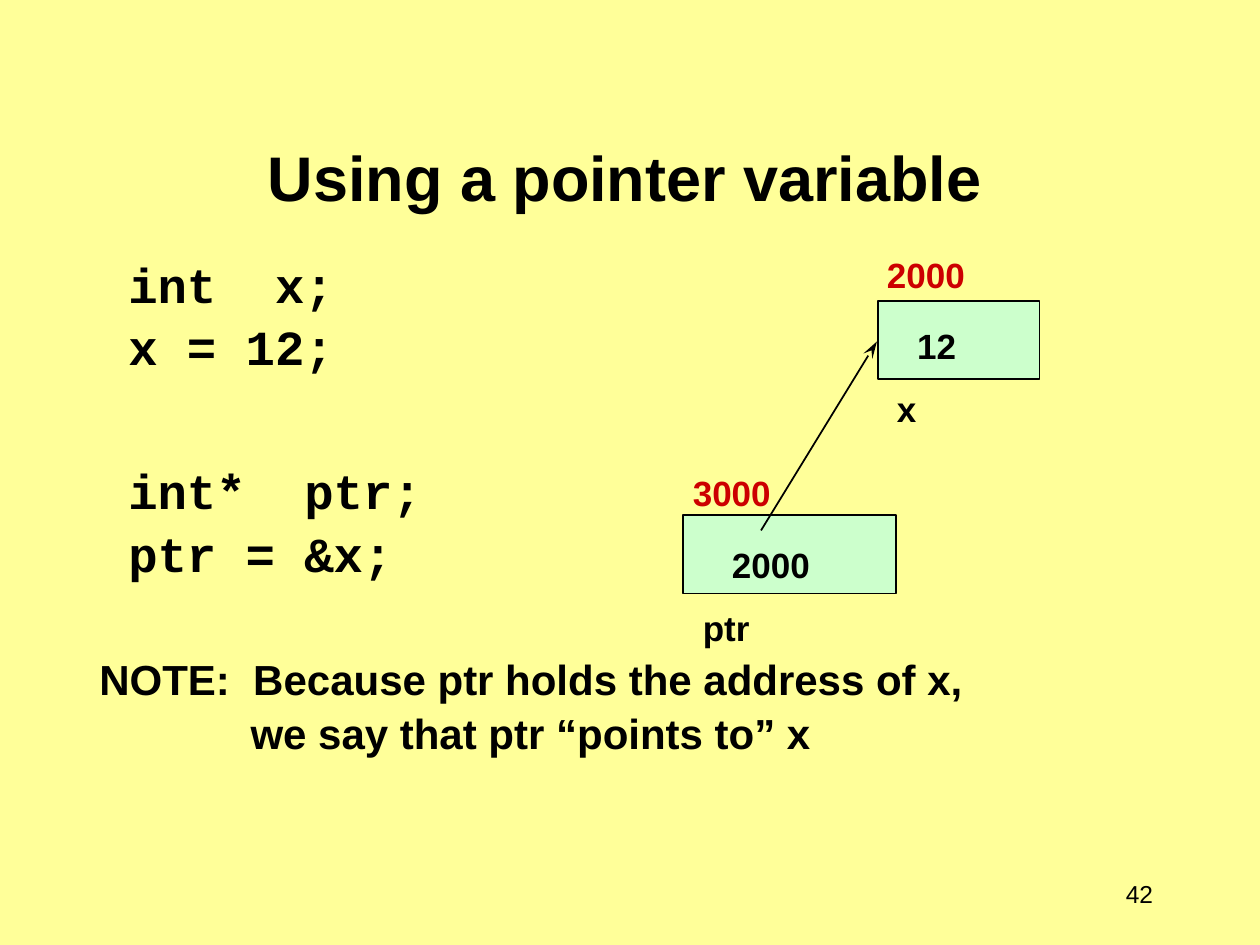
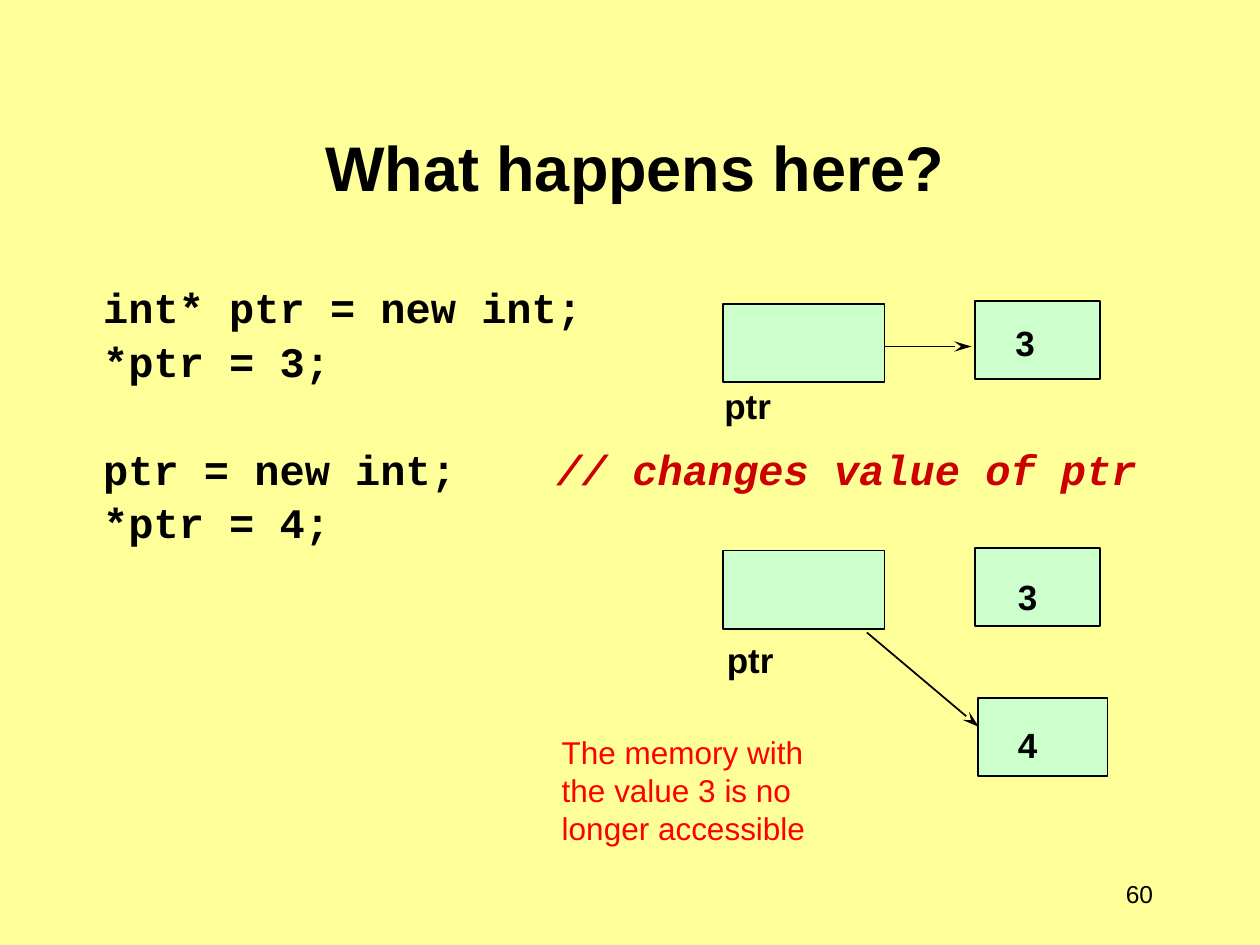
"""Build two slides on pointer variables, laid out on a grid of 100 by 75 cells."""
from lxml.etree import SubElement
from pptx import Presentation
from pptx.dml.color import RGBColor
from pptx.enum.shapes import MSO_CONNECTOR, MSO_SHAPE
from pptx.enum.text import MSO_ANCHOR, PP_ALIGN
from pptx.oxml.ns import qn
from pptx.util import Inches, Pt

COLOURS = {"paper": "FFFF99", "cell": "CCFFCC", "ink": "000000",
           "address": "CC0000", "warning": "FF0000"}
COLUMNS, ROWS = 100, 75
SLIDE_WIDTH, SLIDE_HEIGHT = Inches(10), Inches(7.5)
CELL_HEIGHT = 6.2

STYLES = {
    "title": {"name": "Arial", "size": 36, "bold": True, "colour": "ink"},
    "number": {"name": "Arial", "size": 14, "bold": False, "colour": "ink"},
    "code": {"name": "Courier New", "size": 28, "bold": True, "colour": "ink"},
    "small code": {"name": "Courier New", "size": 24, "bold": True, "colour": "ink"},
    "comment": {"name": "Courier New", "size": 24, "bold": True, "italic": True,
                "colour": "address"},
    "note": {"name": "Arial", "size": 24, "bold": True, "colour": "ink"},
    "label": {"name": "Arial", "size": 20, "bold": True, "colour": "ink"},
    "address": {"name": "Arial", "size": 20, "bold": True, "colour": "address"},
    "warning": {"name": "Arial", "size": 18, "bold": False, "colour": "warning"},
}
NUMBER_AREA = (85.8, 68.4, 6.7, 5)

# A line of text is (indent in columns, points before, words, style).
PAGES = [
    {"title": "Using a pointer variable", "title area": (6.7, 5, 85.8, 12.5),
     "number": "42",
     "body area": (6.9, 20.2, 86, 46.5),
     "body": [
         (2.3, 0, "int  x;", "code"),
         (2.3, 5.6, "x = 12;", "code"),
         (2.3, 52, "int*  ptr;", "code"),
         (2.3, 5.6, "ptr = &x;", "code"),
         (0, 43.6, "NOTE:  Because ptr holds the address of x,", "note"),
         (12, 4.8, "we say that ptr “points to” x", "note")],
     "cells": [(69.7, 23.9, 12.8), (54.2, 40.9, 16.9)],
     "arrows": [(60.4, 42.1, 69.6, 27.1)],
     "labels": [((54, 19.6, 37.5, 35.7), [
         (15.4, 0, "2000", "address"),
         (17.8, 17, "12", "label"),
         (16.2, 12, "x", "label"),
         (0, 24, "3000", "address"),
         (3.1, 17, "2000", "label"),
         (0.8, 12, "ptr", "label")])]},
    {"title": "What happens here?", "title area": (7.5, 5.5, 85.8, 11.2),
     "number": "60",
     "body area": (7.2, 22.3, 87.8, 44.6),
     "body": [
         (0, 0, "int* ptr = new int;", "small code"),
         (0, 4.8, "*ptr = 3;", "small code"),
         (0, 35.8, "ptr = new int;", "small code"),
         (0, 4.8, "*ptr = 4;", "small code")],
     "cells": [(57.4, 24.1, 12.8), (77.4, 23.9, 9.9), (57.4, 43.7, 12.8),
               (77.4, 43.5, 9.9), (77.6, 55.4, 10.3)],
     "arrows": [(70.2, 27.5, 77.1, 27.5), (68.8, 50.2, 77.7, 57.7)],
     "labels": [
         ((43.2, 34.7, 51.8, 4.8), [(0, 0, "// changes value of ptr", "comment")]),
         ((55.7, 25, 37.5, 9.4), [
             (23.9, 0, "3", "label"), (0.8, 12, "ptr", "label")]),
         ((55.9, 45.2, 37.5, 16.1), [
             (23.9, 0, "3", "label"), (0.8, 12, "ptr", "label"),
             (23.9, 24.4, "4", "label")]),
         ((43.6, 57.7, 25.2, 10.1), [
             (0, 0, "The memory with the value 3 is no longer accessible", "warning")])]},
]


def across(columns):
    return round(SLIDE_WIDTH * columns / COLUMNS)


def down(rows):
    return round(SLIDE_HEIGHT * rows / ROWS)


def place(left, top, width, height):
    return across(left), down(top), across(width), down(height)


def colour(name):
    return RGBColor.from_string(COLOURS[name])


def add_text(page, area, lines, anchor=MSO_ANCHOR.TOP, align=PP_ALIGN.LEFT, spacing=1.0):
    frame = page.shapes.add_textbox(*place(*area)).text_frame
    frame.word_wrap = True
    frame.vertical_anchor = anchor
    for index, (indent, before, words, style) in enumerate(lines):
        para = frame.add_paragraph() if index else frame.paragraphs[0]
        formats = {"alignment": align, "line_spacing": spacing, "space_before": Pt(before)}
        for key, value in formats.items():
            setattr(para, key, value)
        properties = para._p.get_or_add_pPr()
        properties.set("marL", str(across(indent)))
        properties.set("indent", "0")
        span = para.add_run()
        span.text = words
        for key, value in STYLES[style].items():
            if key == "colour":
                span.font.color.rgb = colour(value)
            else:
                setattr(span.font, key, Pt(value) if key == "size" else value)


def draw_line(line):
    line.color.rgb = colour("ink")
    line.width = Pt(1)


def add_cell(page, left, top, width):
    box = page.shapes.add_shape(MSO_SHAPE.RECTANGLE, *place(left, top, width, CELL_HEIGHT))
    box.shadow.inherit = False
    box.fill.solid()
    box.fill.fore_color.rgb = colour("cell")
    draw_line(box.line)


def add_arrow(page, *ends):
    arrow = page.shapes.add_connector(MSO_CONNECTOR.STRAIGHT, *place(*ends))
    draw_line(arrow.line)
    SubElement(arrow.line._get_or_add_ln(), qn("a:tailEnd"),
               type="stealth", w="med", len="lg")
    SubElement(arrow._element.spPr, qn("a:effectLst"))


def build_page(deck, content):
    page = deck.slides.add_slide(deck.slide_layouts[6])
    page.background.fill.solid()
    page.background.fill.fore_color.rgb = colour("paper")
    add_text(page, NUMBER_AREA, [(0, 0, content["number"], "number")],
             MSO_ANCHOR.MIDDLE, PP_ALIGN.RIGHT)
    add_text(page, content["title area"], [(0, 0, content["title"], "title")],
             MSO_ANCHOR.BOTTOM, PP_ALIGN.CENTER)
    add_text(page, content["body area"], content["body"], spacing=0.9)
    for cell in content["cells"]:
        add_cell(page, *cell)
    for ends in content["arrows"]:
        add_arrow(page, *ends)
    for area, lines in content["labels"]:
        add_text(page, area, lines)


deck = Presentation()
deck.slide_width, deck.slide_height = SLIDE_WIDTH, SLIDE_HEIGHT
for content in PAGES:
    build_page(deck, content)
deck.save("out.pptx")
